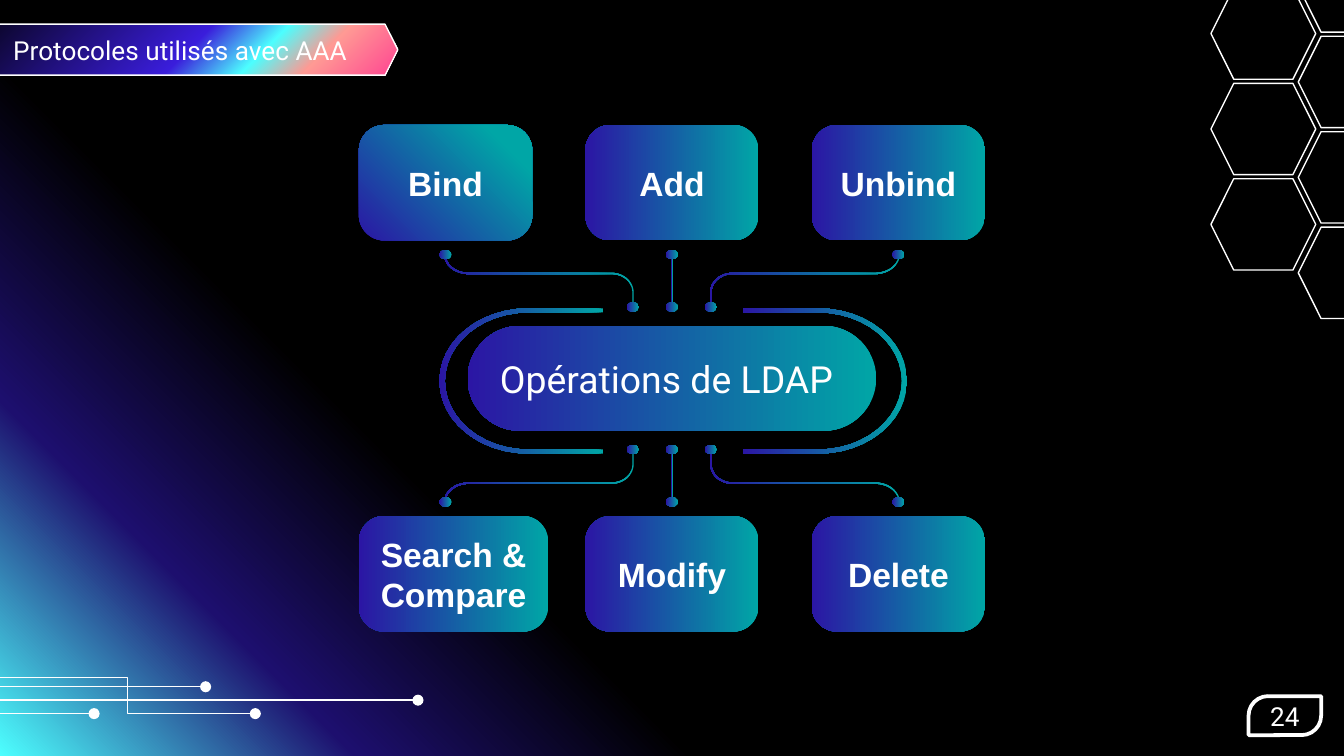
from math import cos, radians, sin

from lxml import etree
from pptx import Presentation
from pptx.dml.color import RGBColor as Rgb
from pptx.enum.shapes import MSO_CONNECTOR as Link, MSO_SHAPE as Kind
from pptx.enum.text import MSO_ANCHOR as Anchor, PP_ALIGN as Align
from pptx.oxml.ns import qn
from pptx.util import Inches, Pt

WHITE = Rgb(0xFF, 0xFF, 0xFF)
BLACK = Rgb(0x00, 0x00, 0x00)
TEAL = Rgb(0x00, 0xA6, 0xA6)
INDIGO = Rgb(0x2B, 0x16, 0xA4)
CYAN = Rgb(0x4D, 0xFF, 0xFF)
NAVY = Rgb(0x1D, 0x0F, 0x6E)
VIOLET = Rgb(0x3A, 0x1D, 0xDB)
PEACH = Rgb(0xFF, 0x9A, 0x94)
PINK = Rgb(0xFF, 0x44, 0x91)

NIGHT = [(0, CYAN), (17, NAVY), (33, BLACK), (100, BLACK)]
RAINBOW = [(0, PINK), (19, PEACH), (31, CYAN), (46, VIOLET), (100, BLACK)]
SEA = [(0, TEAL), (100, INDIGO)]
GLOW = [(16, TEAL), (100, INDIGO)]

CARD = {"name": "Arial", "size": Pt(18), "bold": True}
SMALL = {"name": "Roboto", "size": Pt(14)}
LARGE = {"name": "Roboto", "size": Pt(20)}
THIN = 0.01


def paint(fill, root, stops, focus=None):
    """Fill with a gradient: from right to left, or round the focus corner."""
    fill.gradient()
    grad = next(root.iter(qn("a:gradFill")))
    for child in list(grad):
        grad.remove(child)
    group = etree.SubElement(grad, qn("a:gsLst"))
    for pos, tone in stops:
        stop = etree.SubElement(group, qn("a:gs"), pos=str(pos * 1000))
        etree.SubElement(stop, qn("a:srgbClr"), val=str(tone))
    if focus:
        way = etree.SubElement(grad, qn("a:path"), path="circle")
        sides = {side: str(value * 1000) for side, value in zip("ltrb", focus)}
        etree.SubElement(way, qn("a:fillToRect"), **sides)
    else:
        etree.SubElement(grad, qn("a:lin"), ang="10800000", scaled="0")


def finish(shape, stops=None, focus=None, width=None):
    """Give a shape its gradient, if any, and its white outline, if any."""
    shape.shadow.inherit = False
    if stops:
        paint(shape.fill, shape._element, stops, focus)
    else:
        shape.fill.background()
    if width:
        shape.line.color.rgb = WHITE
        shape.line.width = Pt(width)
    else:
        shape.line.fill.background()
    return shape


def add(page, kind, x, y, w, h, adj=(), **look):
    box = [Inches(v) for v in (x, y, w, h)]
    shape = page.shapes.add_shape(kind, *box)
    for i, value in enumerate(adj):
        shape.adjustments[i] = value
    return finish(shape, **look)


def write(shape, text, style, align=Align.CENTER, anchor=Anchor.MIDDLE,
          side=0.1, edge=0.1):
    frame = shape.text_frame
    look = {"word_wrap": True, "vertical_anchor": anchor,
            "margin_left": Inches(side), "margin_right": Inches(min(side, 0.1)),
            "margin_top": Inches(edge), "margin_bottom": Inches(edge)}
    for key, value in look.items():
        setattr(frame, key, value)
    para = frame.paragraphs[0]
    para.alignment = align
    run = para.add_run()
    run.text = text
    for key, value in style.items():
        setattr(run.font, key, value)
    run.font.color.rgb = WHITE
    return para


def label(page, text, style, x, y, w, h, side=0.1):
    box = page.shapes.add_textbox(*[Inches(v) for v in (x, y, w, h)])
    return write(box, text, style, Align.LEFT, Anchor.BOTTOM, side)


def arc(cx, cy, rx, ry, start, end, steps=24):
    turns = [radians(start + (end - start) * i / steps)
             for i in range(steps + 1)]
    return [(cx + rx * cos(a), cy + ry * sin(a)) for a in turns]


def trace(page, points):
    dots = [(Inches(x), Inches(y)) for x, y in points]
    pen = page.shapes.build_freeform(*dots[0])
    pen.add_line_segments(dots[1:], close=True)
    return finish(pen.convert_to_shape(), SEA)


def rail_edge(t):
    """One edge of the curved rail, t away from its middle line."""
    return (arc(1.51, 0.92, 0.18 + t, 0.14 + t, 0, -90)
            + arc(0.45, 0.64, 0.16 - t, 0.14 - t, 90, 180)
            + [(0.29 + t, 0.53)])


def honeycomb(page, x, y):
    for dx, dy, count in ((0.65, -0.35, 4), (0, 0, 3)):
        for row in range(count):
            add(page, Kind.HEXAGON, x + dx, y + dy + row * 0.71, 0.78, 0.68,
                (0.25,), width=0.75)


def circuit(page, x, y):
    wires = [(Link.STRAIGHT, 0.17, 3.11, 0.17), (Link.ELBOW, 0, 1.9, 0.27),
             (Link.STRAIGHT, 0.07, 1.53, 0.07),
             (Link.STRAIGHT, 0.27, 0.7, 0.27)]
    for kind, top, reach, end in wires:
        wire = page.shapes.add_connector(
            kind, Inches(x), Inches(y + top), Inches(x + reach), Inches(y + end))
        wire.line.color.rgb = WHITE
        wire.line.width = Pt(0.75)
        etree.SubElement(wire.line._get_or_add_ln(), qn("a:tailEnd"), type="oval")
        etree.SubElement(wire._element.spPr, qn("a:effectLst"))


def banner(page, x, y, w, h):
    add(page, Kind.HEXAGON, x - 0.46, y + 0.04, w - 0.16, h - 0.07, (0.25,),
        stops=RAINBOW, focus=(100, 100, 0, 0), width=0.75)
    label(page, "Protocoles utilisés avec AAA", SMALL, x, y, w, h)


def card(page, text, x, y, w, h, stops=SEA, focus=None):
    shape = add(page, Kind.ROUNDED_RECTANGLE, x, y, w, h, (0.22,),
                stops=stops, focus=focus)
    write(shape, text, CARD, side=0.02)


def hub(page, cx, cy):
    add(page, Kind.ROUNDED_RECTANGLE, cx - 1.52, cy - 0.39, 3.04, 0.78, (0.5,),
        stops=SEA)
    para = label(page, "Opérations de LDAP", LARGE, cx - 1.53, cy - 0.31,
                 3.04, 0.58, side=0.25)
    para.line_spacing = 1.15
    half = ([(0.52, -0.54)] + arc(1.08, 0, 0.66, 0.54, -90, 90)
            + [(0.52, 0.54), (0.52, 0.51)]
            + arc(1.08, 0, 0.62, 0.51, 90, -90) + [(0.52, -0.51)])
    for sx in (-1, 1):
        trace(page, [(cx + 0.01 + sx * u, cy + 0.02 + v) for u, v in half])


def diagram(page, x, y, w, h):
    cx, cy = x + w / 2, y + h / 2
    wide, tall = 1.29, 0.86
    step = (w - wide) / 2
    rail = rail_edge(THIN / 2) + rail_edge(-THIN / 2)[::-1]
    rows = [(-1, y, ("Bind", "Add", "Unbind")),
            (1, y + h - tall, ("Search & Compare", "Modify", "Delete"))]
    for sy, top, names in rows:
        for sx, name in zip((-1, 0, 1), names):
            look = {"stops": GLOW, "focus": (100, 0, 0, 100)}
            card(page, name, x + (sx + 1) * step, top,
                 1.41 if "&" in name else wide, tall,
                 **(look if name == "Bind" else {}))
            if sx:
                trace(page, [(cx + sx * u, cy + sy * v) for u, v in rail])
            else:
                add(page, Kind.RECTANGLE, cx - THIN / 2, cy + sy * 0.72 - 0.2,
                    THIN, 0.4, stops=SEA)
            for dx, dy in ((step, 0.92), (0.29, 0.53)):
                add(page, Kind.OVAL, cx + sx * dx - 0.09 / 2,
                    cy + sy * dy - 0.07 / 2, 0.09, 0.07, stops=SEA)
    hub(page, cx, cy)


def badge(page, x, y, w, h):
    shape = add(page, Kind.ROUND_2_DIAG_RECTANGLE, x, y, w, h, (0.5, 0), width=2)
    write(shape, "24", SMALL, edge=0.05)


def main():
    deck = Presentation()
    deck.slide_width, deck.slide_height = Inches(10), Inches(10 * 9 / 16)
    page = deck.slides.add_slide(deck.slide_layouts[6])
    paint(page.background.fill, page._element, NIGHT, (0, 100, 100, 0))
    honeycomb(page, 9.01, -0.09)
    circuit(page, 0, 5.04)
    banner(page, 0, 0.14, 3.58, 0.45)
    diagram(page, 2.67, 0.93, 4.66, 3.77)
    badge(page, 9.29, 5.18, 0.54, 0.29)
    deck.save("out.pptx")


if __name__ == "__main__":
    main()
